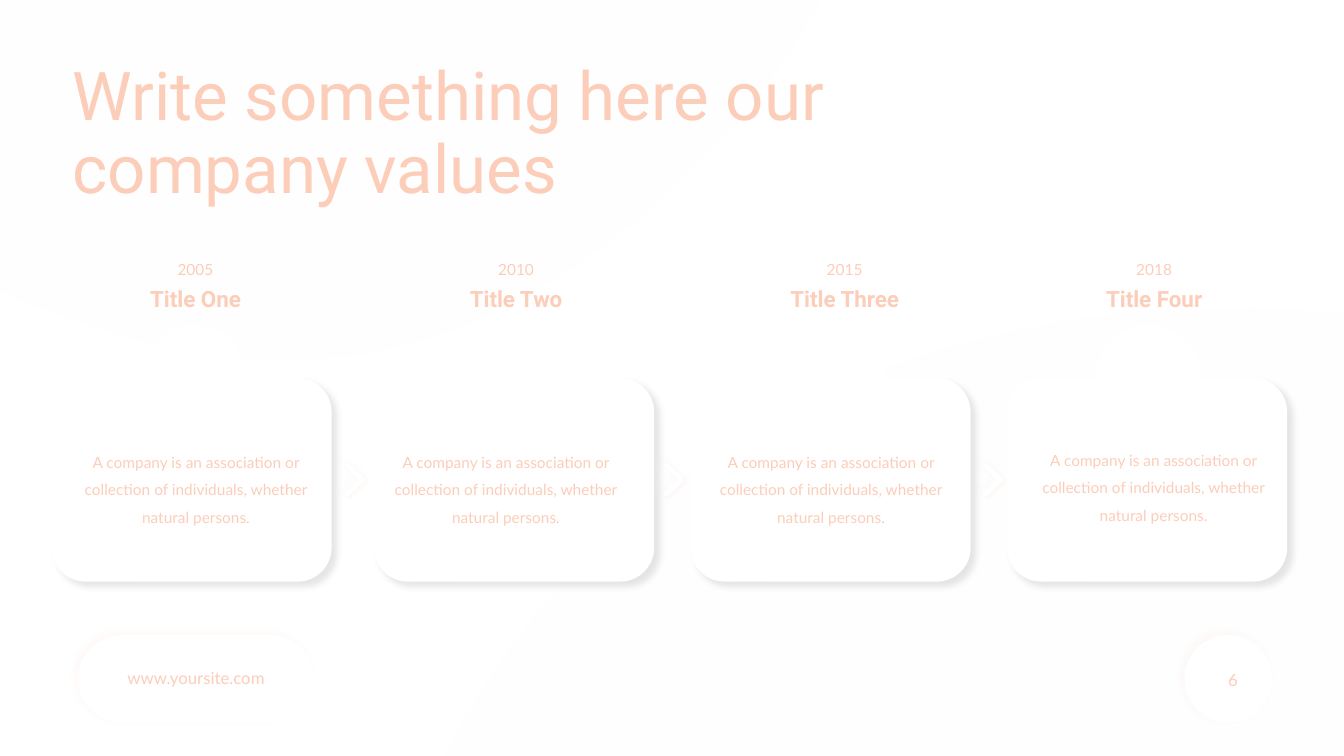
from math import cos, pi, sin
from lxml.etree import SubElement
from pptx import Presentation
from pptx.dml.color import RGBColor
from pptx.enum.shapes import MSO_SHAPE
from pptx.enum.text import MSO_ANCHOR, PP_ALIGN
from pptx.oxml.ns import qn
from pptx.util import Inches, Pt

CELL = Inches(0.1)
COLS, ROWS = 133.33, 75
WHITE, PEACH, TINT, BLACK = "FFFFFF", "FCCDB9", "FEEEE7", "000000"
BODY = "A company is an association or collection of individuals, whether natural persons."

HEAD = {"name": "Roboto", "size": Pt(48)}
NAME = {"name": "Roboto", "size": Pt(16), "bold": True}
SMALL = {"name": "Lato", "size": Pt(11)}
FOOT = {"name": "Lato", "size": Pt(12)}

GLOW = (PEACH, 10, 4, 3, 225)
DROP = (BLACK, 10, 5, 5, 45)
EDGES = ((PEACH, 5, 5, 3, 225), (PEACH, 10, 2, 2, 30))

LEFT_BLOB = [(85.2, -22.2), (90.6, -6, 71.7, 18.4, 52.6, 29.2),
             (33.4, 39.9, 14.1, 37.2, -12.4, 22.9), (-39, 8.8, -72.7, -17, -68.3, -32),
             (-64.1, -47, -21.6, -51, 14.4, -49), (50.4, -46.8, 79.9, -38.5, 85.2, -22.2)]
RIGHT_BLOB = [(198, 69.7), (205.7, 94.5, 182.8, 128, 151.5, 151),
              (120.2, 174, 80.6, 186.2, 57.7, 170.7), (35, 155.2, 29.2, 112, 41.3, 81.2),
              (53.4, 50.4, 83.6, 32, 117.8, 30.6), (152, 29.3, 190.4, 45.1, 198, 69.7)]
CHEVRON = [(0.3, 3.3), (0.2, 3.3, 0.2, 3.3, 0.1, 3.3), (0, 3.2, 0, 3, 0.1, 2.9),
           (1.4, 1.7), (0.1, 0.4), (0, 0.4, 0, 0.2, 0.1, 0.1), (0.2, 0, 0.4, 0, 0.4, 0.1),
           (1.9, 1.5), (2, 1.6, 2, 1.8, 1.9, 1.9), (0.4, 3.3)]


def ring(r, x=0, y=0):
    """Return the points of a circle."""
    return [(x + r * cos(k * pi / 12), y + r * sin(k * pi / 12)) for k in range(24)]


ICONS = {
    "target": [ring(r) for r in (2.1, 1.9, 1.3, 1.1, 0.5, 0.3)],
    "cloud": [[(-0.4, 0.9), (-1.3, 0.9), (-2.1, 0.1), (-1.5, -0.8), (-0.9, -1.5),
               (-0.6, -1.5), (0.4, -2.1), (1.6, -0.9), (2.1, 0), (1.2, 0.9), (0.4, 0.9),
               (0.4, 0.7), (1.2, 0.7), (1.9, 0), (1.4, -0.8), (0.4, -1.9), (-0.5, -1.3),
               (-1.2, -1.3), (-1.9, 0.1), (-1.3, 0.7), (-0.4, 0.7)],
              [(-0.1, 2.1), (-0.1, -0.2), (-0.7, 0.2), (0, -0.6), (0.7, 0.2),
               (0.1, -0.2), (0.1, 2.1)]],
    "horn": [[(-2, -0.9), (-1.6, -0.9), (1.2, -1.7), (1.4, -2), (1.7, -1.8), (1.7, -0.8),
              (2, -0.5), (2, 0), (1.7, 0.3), (1.6, 1.5), (1.2, 1.2), (-0.4, 0.7),
              (-0.1, 2), (-1, 2), (-1.4, 0.4), (-2, 0.3)],
             [(-1.4, -0.7), (1.2, -1.4), (1.2, 1), (-1.4, 0.2)]],
    "cycle": [ring(1.7, 0, 0.4), ring(1.5, 0, 0.4), [(0.1, -2.1), (1.4, -1.3), (0.1, -0.4)]],
}

STEPS = [(5.1, 19.4, 19.45, 43.5, "2005", "Title One", "target"),
         (37.1, 51.2, 50.2, 43.5, "2010", "Title Two", "cloud"),
         (68.5, 83.8, 82.45, 43.5, "2015", "Title Three", "horn"),
         (99.9, 114.5, 114.45, 43.3, "2018", "Title Four", "cycle")]


def cells(*nums):
    """Turn grid cells into slide lengths."""
    return [round(n * CELL) for n in nums]


def paint(form, tone):
    """Set a fill or font colour from a hex string."""
    form.rgb = RGBColor.from_string(tone)


def finish(shape, tone=WHITE, alpha=100, shade=None):
    """Give a shape its fill, no line and, if wanted, a shadow."""
    shape.fill.solid()
    paint(shape.fill.fore_color, tone)
    shape.line.fill.background()
    shape.shadow.inherit = False
    props = shape._element.spPr
    if alpha < 100:
        tint = props.find(qn("a:solidFill"))[0]
        SubElement(tint, qn("a:alpha"), val=str(alpha * 1000))
    if shade:
        hue, part, blur, gap, angle = shade
        cast = SubElement(props.find(qn("a:effectLst")), qn("a:outerShdw"),
                          blurRad=str(Pt(blur)), dist=str(Pt(gap)),
                          dir=str(angle * 60000), algn="ctr", rotWithShape="0")
        ink = SubElement(cast, qn("a:srgbClr"), val=hue)
        SubElement(ink, qn("a:alpha"), val=str(part * 1000))


def block(slide, kind, box, curve=None, **looks):
    """Add a preset shape in a box of cells."""
    shape = slide.shapes.add_shape(kind, *cells(*box))
    if curve is not None:
        shape.adjustments[0] = curve
    finish(shape, **looks)


def trace(steps):
    """Turn straight and curved steps into a list of points."""
    spots = [steps[0]]
    for step in steps[1:]:
        if len(step) == 2:
            spots.append(step)
            continue
        nodes = [spots[-1], step[:2], step[2:4], step[4:]]
        for k in range(1, 17):
            t = k / 16
            parts = ((1 - t) ** 3, 3 * t * (1 - t) ** 2, 3 * t * t * (1 - t), t ** 3)
            spots.append(tuple(sum(p * n[i] for p, n in zip(parts, nodes)) for i in (0, 1)))
    return spots


def outline(slide, loops, x=0, y=0, **looks):
    """Draw closed loops of points as one shape, shifted by x and y."""
    pen = None
    for loop in loops:
        spots = [cells(x + a, y + b) for a, b in loop]
        if pen is None:
            pen = slide.shapes.build_freeform(*spots[0])
        else:
            pen.move_to(*spots[0])
        pen.add_line_segments(spots[1:], close=True)
    finish(pen.convert_to_shape(), **looks)


def write(slide, box, words, style, align=PP_ALIGN.CENTER, space=None, **frame):
    """Add a text box with one paragraph."""
    text = slide.shapes.add_textbox(*cells(*box)).text_frame
    for key, value in {"word_wrap": True, **frame}.items():
        setattr(text, key, value)
    para = text.paragraphs[0]
    para.alignment, para.line_spacing = align, space
    run = para.add_run()
    run.text = words
    for key, value in style.items():
        setattr(run.font, key, value)
    paint(run.font.color, PEACH)


def backdrop(slide):
    """Draw the two pale blobs."""
    for blob in (LEFT_BLOB, RIGHT_BLOB):
        outline(slide, [trace(blob)], tone=TINT, alpha=3)


def footer(slide, x, y, w, h):
    """Place the site pill at the left and the page disc at the right."""
    block(slide, MSO_SHAPE.OVAL, (x + w - h, y, h, h), shade=GLOW)
    write(slide, (x + w - 32.4, y + 2.4, 30, 4), "6", FOOT, PP_ALIGN.RIGHT,
          vertical_anchor=MSO_ANCHOR.MIDDLE)
    block(slide, MSO_SHAPE.ROUNDED_RECTANGLE, (x, y, 23.4, h), 0.5, shade=GLOW)
    write(slide, (x + 3.75, y + 2.8, 15.9, 3), "www.yoursite.com", FOOT, word_wrap=False)


def card(slide, x, y, w, h, icon):
    """Draw a card with its raised disc and icon."""
    block(slide, MSO_SHAPE.ROUNDED_RECTANGLE, (x, y, w, h), shade=DROP)
    block(slide, MSO_SHAPE.ROUNDED_RECTANGLE, (x + 1.1, y + 1.1, w - 2.2, h - 2.1), 0.11)
    for dx, dy, size, alpha in ((8.8, 5.4, 12.1, 40), (8.8, 5.3, 10.5, 100), (10.1, 4.1, 8, 100)):
        block(slide, MSO_SHAPE.OVAL, (x + dx, y - dy, size, size), alpha=alpha)
    outline(slide, ICONS[icon], x + 14.1, y - 0.05)


def label(slide, mid, y, year, name):
    """Write a year over its title, centred on mid."""
    write(slide, (mid - 10.7, y + 2.5, 21.4, 3.7), name, NAME)
    write(slide, (mid - 2.8, y, 5.6, 2.9), year, SMALL, word_wrap=False)


def main():
    """Build and save the slide."""
    deck = Presentation()
    deck.slide_width, deck.slide_height = cells(COLS, ROWS)
    slide = deck.slides.add_slide(deck.slide_layouts[6])
    backdrop(slide)
    footer(slide, 7.75, 63, 118.45, 8.7)
    for x, mid, heart, top, year, name, icon in STEPS:
        card(slide, x, 37.5, 27.8, 20.2, icon)
        label(slide, mid, 25.3, year, name)
        write(slide, (heart - 12.25, top, 24.5, 9), BODY, SMALL, space=1.5)
    for k in range(3):
        for shade in EDGES:
            outline(slide, [trace(CHEVRON)], 34.2 + 31.65 * k, 45.9, shade=shade)
    write(slide, (7.2, 6.2, 82.1, 15.8), "Write something here our company values", HEAD,
          PP_ALIGN.LEFT, 0.9, margin_left=0, margin_right=0, margin_top=0, margin_bottom=0)
    deck.save("out.pptx")


if __name__ == "__main__":
    main()
